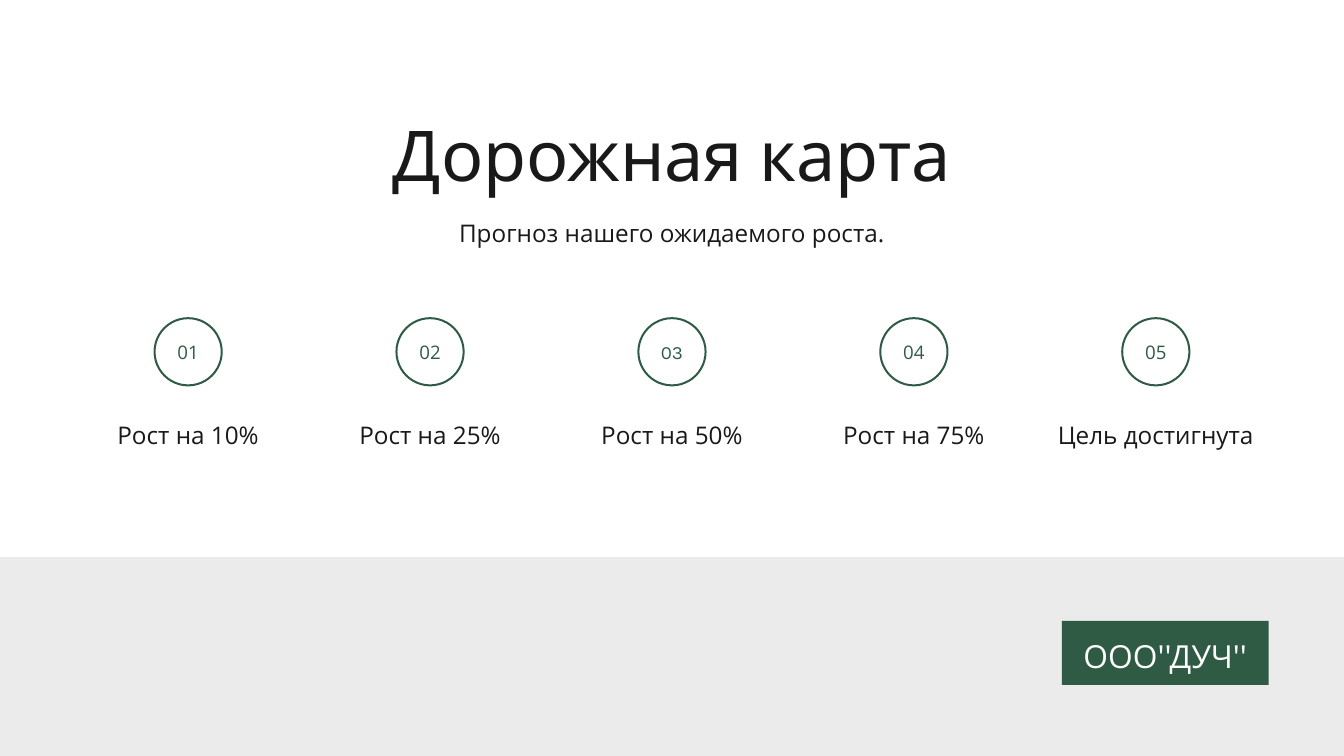
import pptx
import pptx.util
from pptx.dml.color import RGBColor
from pptx.enum.shapes import MSO_SHAPE
from pptx.enum.text import MSO_ANCHOR, MSO_AUTO_SIZE, PP_ALIGN

TITLE = "Дорожная карта"
SUBTITLE = "Прогноз нашего ожидаемого роста."
COMPANY = "ООО''ДУЧ''"
STEPS = [
    ("01", "Рост на 10%", "Open Sans"),
    ("02", "Рост на 25%", "Open Sans"),
    ("03", "Рост на 50%", "Karla"),
    ("04", "Рост на 75%", "Open Sans"),
    ("05", "Цель достигнута", "Open Sans"),
]
COLORS = {"green": "2F5B44", "ink": "191919", "band": "EBEBEB", "white": "FFFFFF"}

WIDTH, HEIGHT = 20, 11.25
CENTER = WIDTH / 2
STEP_PITCH = 3.6
RING_SIZE = 1.03
RING_THICKNESS = 0.03
BAND_TOP = 8.29
BADGE_CENTER, BADGE_WIDTH = 17.34, 3.08


def inches(*lengths):
    return [pptx.util.Inches(length) for length in lengths]


def centered(center, top, width, height):
    return inches(center - width / 2, top, width, height)


def write(shape, text, size, line_spacing, color, font="Open Sans"):
    frame = shape.text_frame
    frame.text = text
    frame.word_wrap = True
    frame.auto_size = MSO_AUTO_SIZE.NONE
    frame.vertical_anchor = MSO_ANCHOR.TOP
    frame.margin_left = frame.margin_right = frame.margin_top = frame.margin_bottom = 0
    paragraph = frame.paragraphs[0]
    paragraph.alignment = PP_ALIGN.CENTER
    paragraph.line_spacing = pptx.util.Pt(line_spacing)
    for run in paragraph.runs:
        run.font.size = pptx.util.Pt(size)
        run.font.name = font
        run.font.color.rgb = RGBColor.from_string(COLORS[color])


def add_filled(shapes, kind, box, color):
    shape = shapes.add_shape(kind, *box)
    shape.shadow.inherit = False
    shape.fill.solid()
    shape.fill.fore_color.rgb = RGBColor.from_string(COLORS[color])
    shape.line.fill.background()
    return shape


def add_step(slide, center, number, label, number_font):
    shapes = slide.shapes.add_group_shape().shapes
    ring = add_filled(shapes, MSO_SHAPE.DONUT, centered(center, 4.72, RING_SIZE, RING_SIZE), "green")
    ring.adjustments[0] = RING_THICKNESS / RING_SIZE
    write(shapes.add_textbox(*centered(center, 5.05, 0.6, 0.35)), number, 20, 26, "green", number_font)
    write(shapes.add_textbox(*centered(center, 6.18, 3.36, 0.47)), label, 26, 36.4, "ink")


def main():
    presentation = pptx.Presentation()
    presentation.slide_width, presentation.slide_height = inches(WIDTH, HEIGHT)
    slide = presentation.slides.add_slide(presentation.slide_layouts[5])

    title = slide.shapes.title
    title.left, title.top, title.width, title.height = centered(CENTER, 1.66, 14.57, 1.26)
    write(title, TITLE, 75, 90, "ink", "Karla")
    subtitle = slide.shapes.add_textbox(*centered(CENTER, 3.18, 13.71, 0.47))
    write(subtitle, SUBTITLE, 26, 36.4, "ink")

    for index, step in enumerate(STEPS):
        add_step(slide, CENTER + (index - (len(STEPS) - 1) / 2) * STEP_PITCH, *step)

    add_filled(slide.shapes, MSO_SHAPE.RECTANGLE, inches(0, BAND_TOP, WIDTH, HEIGHT - BAND_TOP), "band")
    add_filled(slide.shapes, MSO_SHAPE.RECTANGLE, centered(BADGE_CENTER, 9.24, BADGE_WIDTH, 0.95), "green")
    company = slide.shapes.add_textbox(*centered(BADGE_CENTER, 9.38, BADGE_WIDTH, 0.63))
    write(company, COMPANY, 34, 47.6, "white")

    presentation.save("out.pptx")


if __name__ == "__main__":
    main()
